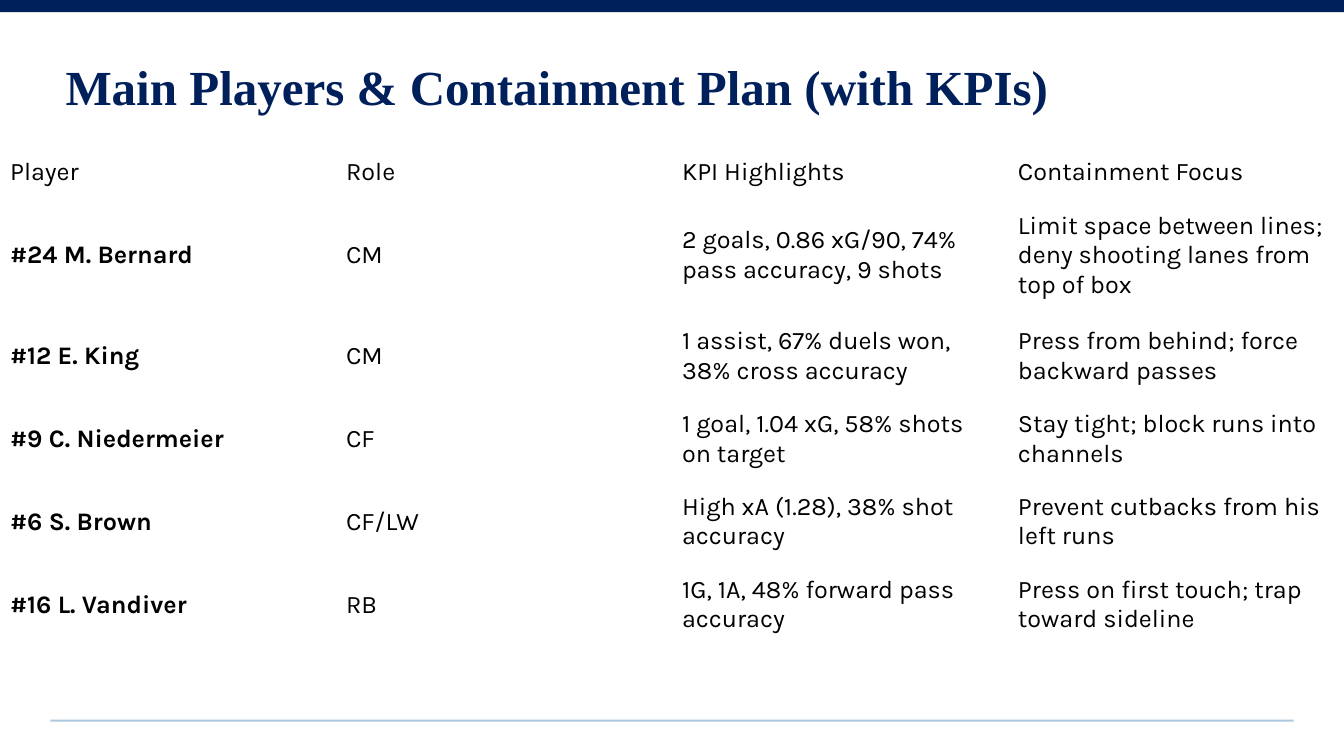
"""Builds the slide on main players and the containment plan."""
import pptx
import pptx.dml.color
import pptx.enum.shapes
import pptx.enum.text
import pptx.util

Pt = pptx.util.Pt
NAVY = pptx.dml.color.RGBColor(0x00, 0x20, 0x5B)
PALE_BLUE = pptx.dml.color.RGBColor(0xAD, 0xC7, 0xDC)
BLACK = pptx.dml.color.RGBColor(0x00, 0x00, 0x00)
MIDDLE = pptx.enum.text.MSO_ANCHOR.MIDDLE
LEFT = pptx.enum.text.PP_ALIGN.LEFT

HEADING = "Main Players & Containment Plan (with KPIs)"
PLAN = [
    ("Player", "Role", "KPI Highlights", "Containment Focus"),
    ("#24 M. Bernard", "CM", "2 goals, 0.86 xG/90, 74% pass accuracy, 9 shots",
     "Limit space between lines; deny shooting lanes from top of box"),
    ("#12 E. King", "CM", "1 assist, 67% duels won, 38% cross accuracy",
     "Press from behind; force backward passes"),
    ("#9 C. Niedermeier", "CF", "1 goal, 1.04 xG, 58% shots on target",
     "Stay tight; block runs into channels"),
    ("#6 S. Brown", "CF/LW", "High xA (1.28), 38% shot accuracy",
     "Prevent cutbacks from his left runs"),
    ("#16 L. Vandiver", "RB", "1G, 1A, 48% forward pass accuracy",
     "Press on first touch; trap toward sideline"),
]
SLIDE_WIDTH, SLIDE_HEIGHT = 960, 540
HEADER_HEIGHT, FIRST_PLAYER_HEIGHT, PLAYER_HEIGHT = 34, 85, 59.2
BARS = [
    (0, 0, SLIDE_WIDTH, 8.64, NAVY),
    (36, 514, SLIDE_WIDTH - 2 * 36, 1.44, PALE_BLUE),
]


def add_run(paragraph, text, font_name, size, color, bold):
    run = paragraph.add_run()
    run.text = text
    run.font.name = font_name
    run.font.size = Pt(size)
    run.font.color.rgb = color
    run.font.bold = bold


def add_heading(slide):
    heading = slide.shapes.title
    heading.left, heading.top = Pt(39.6), Pt(11.5)
    heading.width, heading.height = Pt(828), Pt(104.4)
    heading.text_frame.vertical_anchor = MIDDLE
    heading.text_frame.word_wrap = True
    paragraph = heading.text_frame.paragraphs[0]
    paragraph.alignment = LEFT
    paragraph.line_spacing = 0.9
    add_run(paragraph, HEADING, "Times New Roman", 35, NAVY, True)


def add_bars(slide):
    for left, top, width, height, color in BARS:
        bar = slide.shapes.add_shape(
            pptx.enum.shapes.MSO_SHAPE.RECTANGLE, Pt(left), Pt(top), Pt(width), Pt(height))
        bar.shadow.inherit = False
        bar.fill.solid()
        bar.fill.fore_color.rgb = color
        bar.line.fill.background()


def add_plan(slide):
    row_heights = [HEADER_HEIGHT, FIRST_PLAYER_HEIGHT]
    row_heights += [PLAYER_HEIGHT] * (len(PLAN) - len(row_heights))
    plan = slide.shapes.add_table(
        len(PLAN), len(PLAN[0]), Pt(0), Pt(105.8), Pt(SLIDE_WIDTH), Pt(sum(row_heights))).table
    plan.first_row = False
    plan.horz_banding = False
    for row_index, (entries, height) in enumerate(zip(PLAN, row_heights)):
        plan.rows[row_index].height = Pt(height)
        for column_index, entry in enumerate(entries):
            cell = plan.cell(row_index, column_index)
            cell.fill.background()
            cell.vertical_anchor = MIDDLE
            is_player_name = row_index > 0 and column_index == 0
            add_run(cell.text_frame.paragraphs[0], entry, "Karla", 18, BLACK, is_player_name)


def main():
    presentation = pptx.Presentation()
    presentation.slide_width = Pt(SLIDE_WIDTH)
    presentation.slide_height = Pt(SLIDE_HEIGHT)
    slide = presentation.slides.add_slide(presentation.slide_layouts[5])
    add_heading(slide)
    add_bars(slide)
    add_plan(slide)
    presentation.save("out.pptx")


if __name__ == "__main__":
    main()
